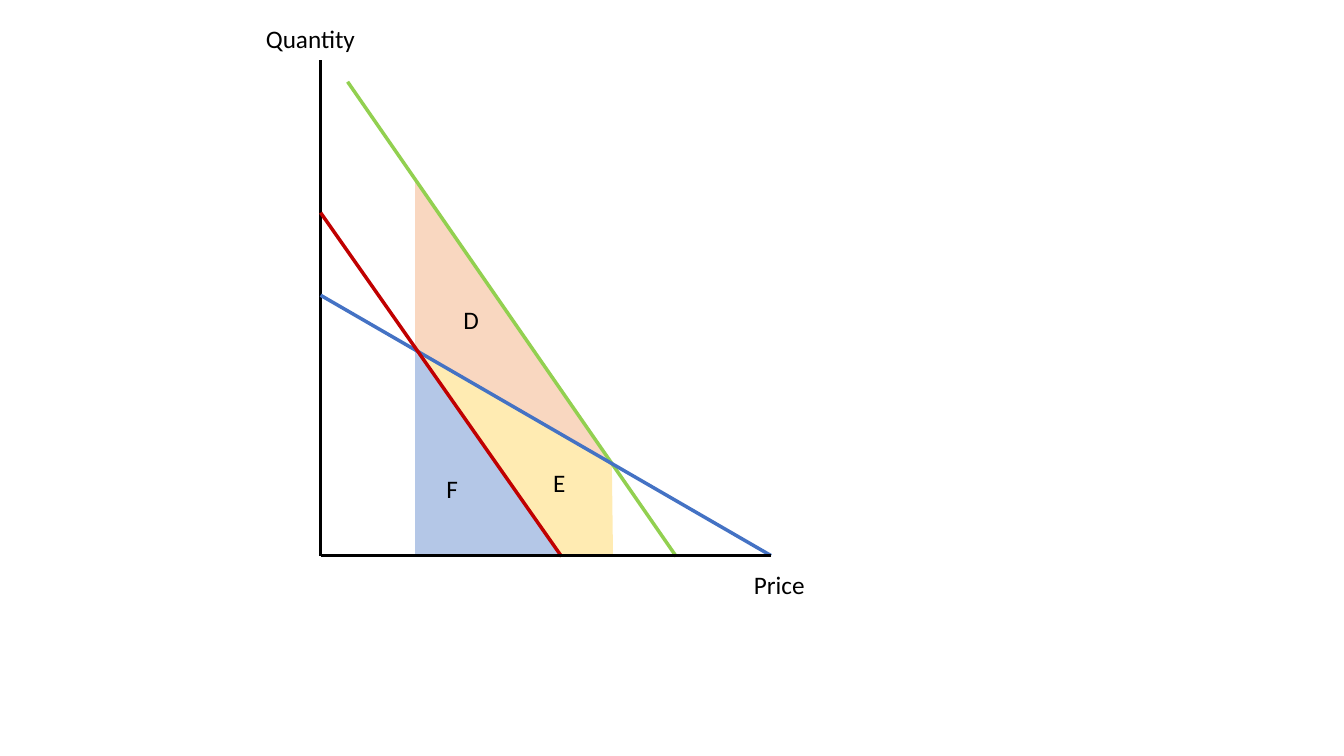
from lxml import etree
from pptx import Presentation
from pptx import util as u
from pptx.dml.color import RGBColor
from pptx.enum import shapes, text
from pptx.oxml.ns import qn

BLACK = RGBColor(0x00, 0x00, 0x00)
GREEN = RGBColor(0x92, 0xD0, 0x50)
BLUE = RGBColor(0x44, 0x72, 0xC4)
RED = RGBColor(0xC0, 0x00, 0x00)
ORANGE = RGBColor(0xF4, 0xB1, 0x83)
YELLOW = RGBColor(0xFF, 0xD9, 0x66)
PALE_BLUE = RGBColor(0xB4, 0xC7, 0xE7)

# Key positions of the diagram, in centimetres
AXIS_X, AXIS_Y = 8.08, 14.0
AXIS_TOP, AXIS_RIGHT = 1.5, 19.43
CURVE_FOOT = 14.02
LEFT_EDGE, RIGHT_EDGE = 10.46, 15.45
CROSSING_Y = 11.71


def write_text(shape, content, font="Calibri", size=18, color=BLACK, wrap=True):
    frame = shape.text_frame
    frame.word_wrap = wrap
    frame.auto_size = text.MSO_AUTO_SIZE.SHAPE_TO_FIT_TEXT
    paragraph = frame.paragraphs[0]
    paragraph.text = content
    paragraph.font.name = font
    paragraph.font.size = u.Pt(size)
    paragraph.font.color.rgb = color


class Diagram:
    """Draws on one slide, with all lengths in centimetres."""

    label_height = 1.02
    axis_width = 2
    curve_width = 2.5

    def __init__(self, slide):
        self.slide = slide

    def label(self, content, left, top, width, wrap=True):
        box = self.slide.shapes.add_textbox(
            *map(u.Cm, (left, top, width, self.label_height)))
        write_text(box, content, wrap=wrap)

    def line(self, start, end, color, width):
        connector = self.slide.shapes.add_connector(
            shapes.MSO_CONNECTOR.STRAIGHT, *map(u.Cm, start + end))
        connector.line.color.rgb = color
        connector.line.width = u.Pt(width)
        etree.SubElement(connector._element.spPr, qn("a:effectLst"))

    def axis(self, start, end):
        self.line(start, end, BLACK, self.axis_width)

    def curve(self, start, end, color):
        self.line(start, end, color, self.curve_width)

    def fill(self, shape, color, opacity=100):
        shape.shadow.inherit = False
        shape.fill.solid()
        shape.fill.fore_color.rgb = color
        shape.line.fill.background()
        if opacity < 100:
            swatch = shape._element.spPr.find(".//" + qn("a:srgbClr"))
            etree.SubElement(swatch, qn("a:alpha"), val=str(opacity * 1000))

    def area(self, points, color, opacity):
        corners = [tuple(map(u.Cm, point)) for point in points]
        builder = self.slide.shapes.build_freeform(*corners[0], scale=1.0)
        builder.add_line_segments(corners[1:], close=True)
        self.fill(builder.convert_to_shape(), color, opacity)

    def triangle(self, left, top, width, height, color):
        shape = self.slide.shapes.add_shape(
            shapes.MSO_SHAPE.RIGHT_TRIANGLE, *map(u.Cm, (left, top, width, height)))
        self.fill(shape, color)


def main():
    presentation = Presentation()
    presentation.slide_width = u.Cm(33.87)
    presentation.slide_height = u.Cm(19.05)
    diagram = Diagram(presentation.slides.add_slide(presentation.slide_layouts[6]))

    # Axis titles and vertical axis
    diagram.label("Price", 18.75, 14.22, 5.11)
    diagram.label("Quantity", 6.45, 0.46, 4.6)
    diagram.axis((AXIS_X, AXIS_Y), (AXIS_X, AXIS_TOP))

    # Areas D, F and E
    diagram.area([(LEFT_EDGE, 8.81), (LEFT_EDGE, 4.52), (RIGHT_EDGE, CROSSING_Y)],
                 ORANGE, opacity=50)
    diagram.triangle(LEFT_EDGE, 8.8, 3.64, 5.19, PALE_BLUE)
    diagram.area([(10.64, 8.92), (14.17, CURVE_FOOT), (RIGHT_EDGE, CURVE_FOOT),
                  (15.42, CROSSING_Y)], YELLOW, opacity=50)

    # Demand curves
    diagram.curve((17.04, CURVE_FOOT), (8.76, 2.06), GREEN)
    diagram.curve((AXIS_RIGHT, AXIS_Y), (AXIS_X, 7.44), BLUE)
    diagram.curve((14.15, CURVE_FOOT), (AXIS_X, 5.36), RED)

    # Area labels
    for name, left, top, width in (("D", 11.43, 7.54, 0.91),
                                   ("E", 13.69, 11.66, 0.81),
                                   ("F", 11.0, 11.79, 0.81)):
        diagram.label(name, left, top, width, wrap=False)

    # Horizontal axis, in front of the areas
    diagram.axis((AXIS_RIGHT, AXIS_Y), (AXIS_X, AXIS_Y))

    presentation.save("out.pptx")


if __name__ == "__main__":
    main()
